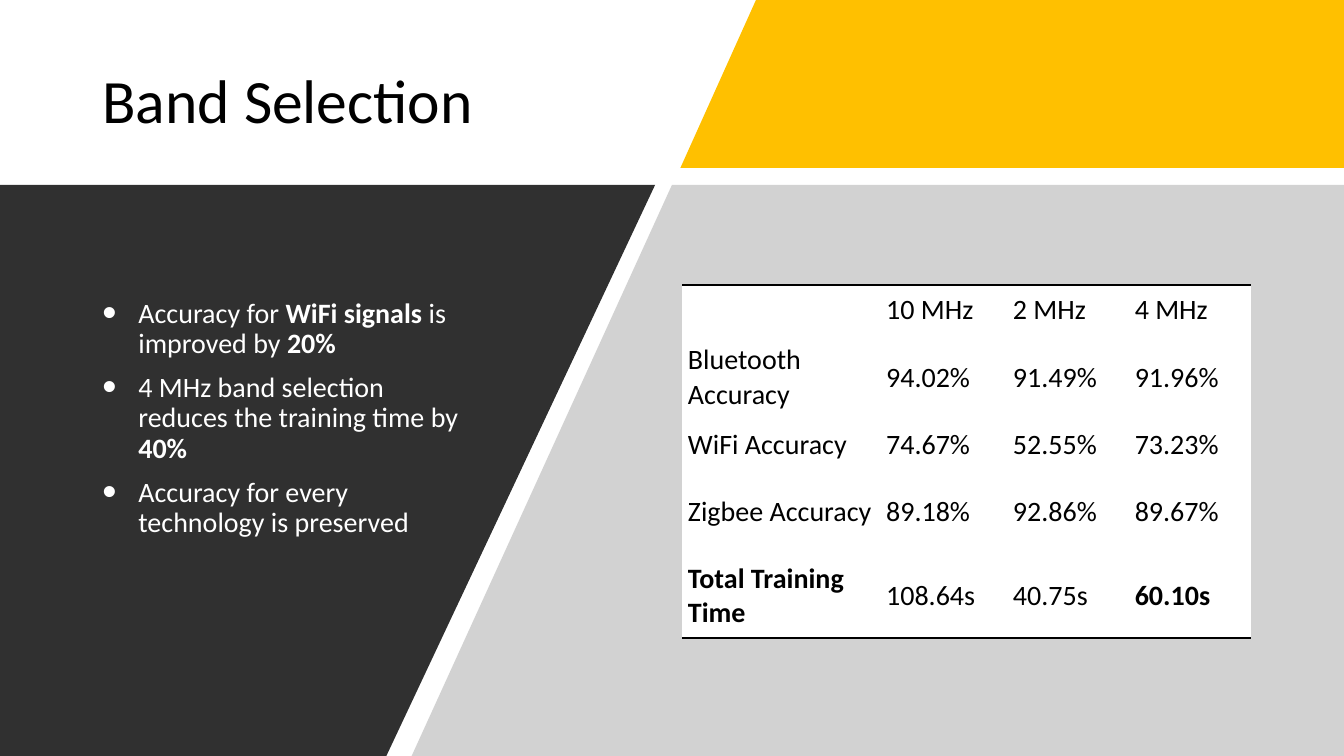
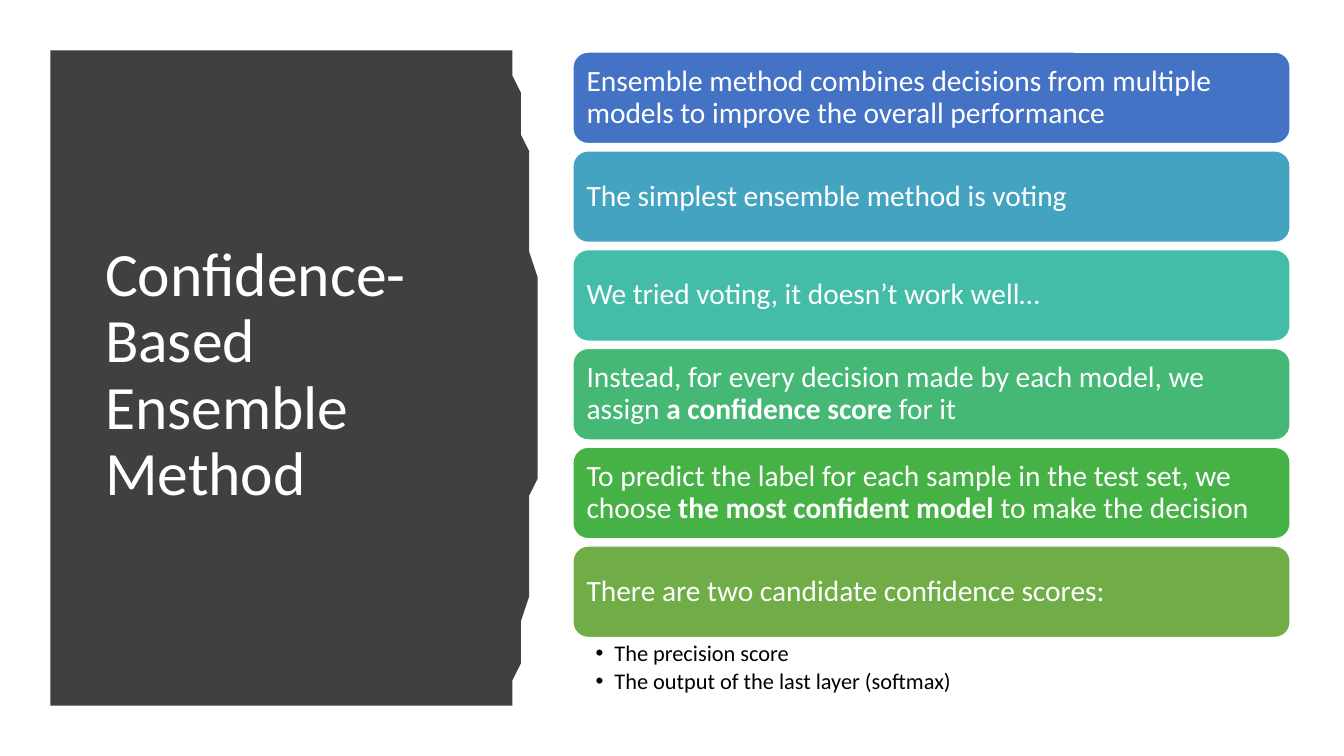
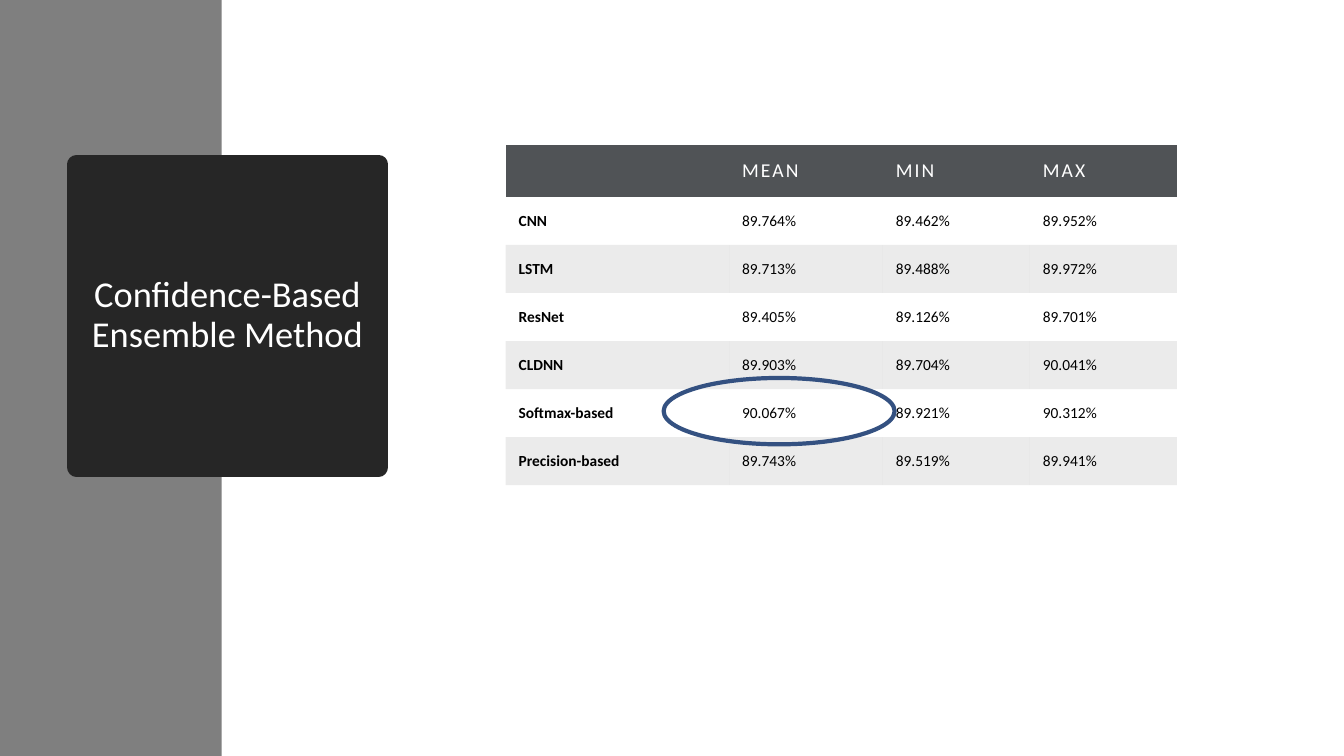
import pptx
import pptx.dml.color
import pptx.enum.shapes
import pptx.enum.text
import pptx.oxml
import pptx.oxml.ns
import pptx.util
import lxml.etree

RGB = pptx.dml.color.RGBColor
SHAPE = pptx.enum.shapes.MSO_SHAPE
ALIGN = pptx.enum.text.PP_ALIGN
MIDDLE = pptx.enum.text.MSO_ANCHOR.MIDDLE
TOP = pptx.enum.text.MSO_ANCHOR.TOP
qn = pptx.oxml.ns.qn

BLACK = RGB(0x00, 0x00, 0x00)
WHITE = RGB(0xFF, 0xFF, 0xFF)
GOLD = RGB(0xFF, 0xC0, 0x00)
SILVER = RGB(0xA6, 0xA6, 0xA6)
COAL = RGB(0x30, 0x30, 0x30)
SLATE = RGB(0x40, 0x40, 0x40)
GRAY = RGB(0x7F, 0x7F, 0x7F)
INK = RGB(0x26, 0x26, 0x26)
HEADER = RGB(0x50, 0x53, 0x56)
NAVY = RGB(0x34, 0x51, 0x81)
BLUE = RGB(0x44, 0x72, 0xC4)
CYAN = RGB(0x44, 0xA3, 0xC0)
TEAL = RGB(0x43, 0xBD, 0xA7)
MINT = RGB(0x44, 0xB8, 0x74)
GREEN = RGB(0x46, 0xB2, 0x46)
OLIVE = RGB(0x70, 0xAD, 0x47)

COLUMNS, ROWS = 160, 90
NO_TABLE_STYLE = "{2D5ABB26-0587-4C30-8999-92F81FD0307C}"


class Slides:
    font = "Calibri"
    cell_size = pptx.util.Inches(1) // 12

    def __init__(self):
        self.deck = pptx.Presentation()
        self.deck.slide_width = self.grid(COLUMNS)
        self.deck.slide_height = self.grid(ROWS)
        self.page = None

    def grid(self, count):
        return pptx.util.Emu(round(count * self.cell_size))

    def place(self, area):
        return [self.grid(count) for count in area]

    def new_page(self):
        self.page = self.deck.slides.add_slide(self.deck.slide_layouts[5])

    def paint(self, fill, color, properties, opacity=100):
        if color is None:
            fill.background()
            return
        fill.solid()
        fill.fore_color.rgb = color
        if opacity < 100:
            tint = next(properties.iter(qn("a:srgbClr")))
            lxml.etree.SubElement(tint, qn("a:alpha"), val=str(opacity * 1000))

    def dress(self, shape, fill=None, line=None, weight=1, opacity=100):
        self.paint(shape.fill, fill, shape._element.spPr, opacity)
        if line is None:
            shape.line.fill.background()
        else:
            shape.line.color.rgb = line
            shape.line.width = pptx.util.Pt(weight)

    def add_spans(self, para, text, size, color, bold=False, tracking=0):
        for index, part in enumerate(text.split("*")):
            if part:
                span = para.add_run()
                span.text = part
                span.font.name = self.font
                span.font.size = pptx.util.Pt(size)
                span.font.bold = bold or index % 2 == 1
                span.font.color.rgb = color
                if tracking:
                    span.font._element.set("spc", str(tracking))

    def fill_text(self, shape, lines, size, color, anchor=MIDDLE, align=ALIGN.LEFT,
                  before=0, after=0, indent=0, bullet_size=100, inset=(1.2, 0.6)):
        frame = shape.text_frame
        frame.word_wrap = True
        frame.auto_size = pptx.enum.text.MSO_AUTO_SIZE.NONE
        frame.vertical_anchor = anchor
        frame.margin_left = frame.margin_right = self.grid(inset[0])
        frame.margin_top = frame.margin_bottom = self.grid(inset[1])
        for index, text in enumerate(lines):
            para = frame.add_paragraph() if index else frame.paragraphs[0]
            para.alignment = align
            para.line_spacing = 0.9
            para.space_before = pptx.util.Pt(before)
            para.space_after = pptx.util.Pt(after)
            if indent:
                self.bullet(para, indent, bullet_size)
            self.add_spans(para, text, size, color)

    def bullet(self, para, indent, size):
        properties = para._p.get_or_add_pPr()
        properties.set("marL", str(self.grid(indent)))
        properties.set("indent", str(-self.grid(indent)))
        lxml.etree.SubElement(properties, qn("a:buSzPct"), val=str(size * 1000))
        lxml.etree.SubElement(properties, qn("a:buFont"), typeface="Arial")
        lxml.etree.SubElement(properties, qn("a:buChar"), char="•")

    def title(self, text, area, size=44, color=BLACK, align=ALIGN.LEFT):
        title = self.page.shapes.title
        self.page.shapes._spTree.append(title._element)
        title.left, title.top, title.width, title.height = self.place(area)
        self.fill_text(title, [text], size, color, align=align)
        return title

    def shape(self, kind, area, **look):
        shape = self.page.shapes.add_shape(kind, *self.place(area))
        shape.shadow.inherit = False
        self.dress(shape, **look)
        return shape

    def outline(self, points, **look):
        builder = self.page.shapes.build_freeform(*points[0], scale=self.cell_size)
        builder.add_line_segments(points[1:], close=True)
        shape = builder.convert_to_shape()
        shape.shadow.inherit = False
        self.dress(shape, **look)

    def bullets(self, lines, area, size, color, **style):
        box = self.page.shapes.add_textbox(*self.place(area))
        self.fill_text(box, lines, size, color, **style)

    def table(self, corner, widths, heights, rows, inset, style):
        area = (*corner, sum(widths), sum(heights))
        table = self.page.shapes.add_table(
            len(rows), len(widths), *self.place(area)).table
        table.first_row = table.horz_banding = False
        table._tbl.tblPr.find(qn("a:tableStyleId")).text = NO_TABLE_STYLE
        for column, width in zip(table.columns, widths):
            column.width = self.grid(width)
        for row, height in zip(table.rows, heights):
            row.height = self.grid(height)
        for r, texts in enumerate(rows):
            for c, text in enumerate(texts):
                cell = table.cell(r, c)
                cell.vertical_anchor = MIDDLE
                cell.margin_left = cell.margin_right = self.grid(inset)
                fill, opacity, font = style(r, c)
                self.paint(cell.fill, fill, cell._tc.tcPr, opacity)
                self.add_spans(cell.text_frame.paragraphs[0], text, **font)
        return table

    def rule(self, row, side, weight, color):
        for cell in row.cells:
            line = pptx.oxml.parse_xml(
                f'<a:{side} {pptx.oxml.ns.nsdecls("a")} w="{pptx.util.Pt(weight)}">'
                f'<a:solidFill><a:srgbClr val="{color}"/></a:solidFill></a:{side}>')
            cell._tc.get_or_add_tcPr().insert(0, line)


def band_selection(slides):
    slides.new_page()
    upper, lower = 19.8, 22.2
    slides.title("Band Selection", (11, 4.8, 70, 15))
    slides.outline([(90.24, 0), (COLUMNS, 0), (COLUMNS, upper), (81.12, upper)], fill=GOLD)
    slides.outline([(80, lower), (COLUMNS, lower), (COLUMNS, ROWS), (48.6, ROWS)],
                   fill=SILVER, opacity=50)
    slides.outline([(0, lower), (77.9, lower), (46.4, ROWS), (0, ROWS)], fill=COAL)
    slides.bullets(
        ["Accuracy for *WiFi signals *is improved by *20%*",
         "4 MHz band selection reduces the training time by *40%*",
         "Accuracy for every technology is preserved"],
        (11, 28.6, 47.3, 42.5), 20, WHITE, before=10, indent=4.3, bullet_size=145)
    rows = [
        ("", "10 MHz", "2 MHz", "4 MHz"),
        ("Bluetooth Accuracy", "94.02%", "91.49%", "91.96%"),
        ("WiFi Accuracy", "74.67%", "52.55%", "73.23%"),
        ("Zigbee Accuracy", "89.18%", "92.86%", "89.67%"),
        ("*Total Training Time*", "108.64s", "40.75s", "*60.10s*")]
    table = slides.table(
        (81.2, 33.95), (23.6, 15.1, 14.5, 14.5), (6, 10, 6, 10, 10), rows, 0.7,
        lambda r, c: (WHITE, 100, dict(size=20, color=BLACK)))
    slides.rule(table.rows[0], "lnT", 2, BLACK)
    slides.rule(table.rows[len(rows) - 1], "lnB", 2, BLACK)


def ensemble_steps(slides):
    slides.new_page()
    left, right, top, height, bulge, steps = 6.4, 61, 6.2, 77.3, 2.9, 32
    shares = [step / steps for step in range(steps + 1)]
    curve = [(right + bulge * 4 * t * (1 - t), top + height * t) for t in shares]
    slides.outline([(left, top), *curve, (left, top + height)], fill=SLATE)
    slides.title("Confidence-Based Ensemble Method", (11.3, 13.3, 44.9, 62.9), color=WHITE)
    points = [
        (BLUE, "Ensemble method combines decisions from multiple models "
               "to improve the overall performance"),
        (CYAN, "The simplest ensemble method is voting"),
        (TEAL, "We tried voting, it doesn’t work well…"),
        (MINT, "Instead, for every decision made by each model, we assign "
               "*a confidence score* for it"),
        (GREEN, "To predict the label for each sample in the test set, we choose "
                "*the most confident model *to make the decision"),
        (OLIVE, "There are two candidate confidence scores:")]
    for index, (color, text) in enumerate(points):
        card = slides.shape(SHAPE.ROUNDED_RECTANGLE, (68.2, top + index * 11.76, 85.4, 10.9),
                            fill=color, line=WHITE)
        slides.fill_text(card, [text], 21, WHITE, inset=(1.1, 0.6))
    slides.bullets(["The precision score", "The output of the last layer (softmax)"],
                   (68.2, 76.1, 85.4, 7.3), 16, BLACK, anchor=TOP, after=3,
                   indent=2.25, inset=(2.7, 0.3))


def ensemble_results(slides):
    slides.new_page()
    slides.shape(SHAPE.RECTANGLE, (0, 0, 26.4, ROWS), fill=GRAY)
    title = slides.title("Confidence-Based Ensemble Method", (9.1, 19.6, 36, 36),
                         size=26, color=WHITE, align=ALIGN.CENTER)
    slides.dress(title, fill=INK, line=INK, weight=13.75)
    rows = [
        ("", "MEAN", "MIN", "MAX"),
        ("CNN", "89.764%", "89.462%", "89.952%"),
        ("LSTM", "89.713%", "89.488%", "89.972%"),
        ("ResNet", "89.405%", "89.126%", "89.701%"),
        ("CLDNN", "89.903%", "89.704%", "90.041%"),
        ("Softmax-based", "90.067%", "89.921%", "90.312%"),
        ("Precision-based", "89.743%", "89.519%", "89.941%")]

    def style(r, c):
        if r == 0:
            return HEADER, 100, dict(size=14, color=WHITE, tracking=150)
        stripe = BLACK if r % 2 == 0 else None
        return stripe, 8, dict(size=11, color=BLACK, bold=c == 0)

    slides.table((60.2, 17.25), (26.6, 18.3, 17.5, 17.5), [6.2] + [5.72] * 6,
                 rows, 1.55, style)
    slides.shape(SHAPE.OVAL, (79, 45, 27.5, 7.9), line=NAVY, weight=3)


def main():
    slides = Slides()
    band_selection(slides)
    ensemble_steps(slides)
    ensemble_results(slides)
    slides.deck.save("out.pptx")


if __name__ == "__main__":
    main()
